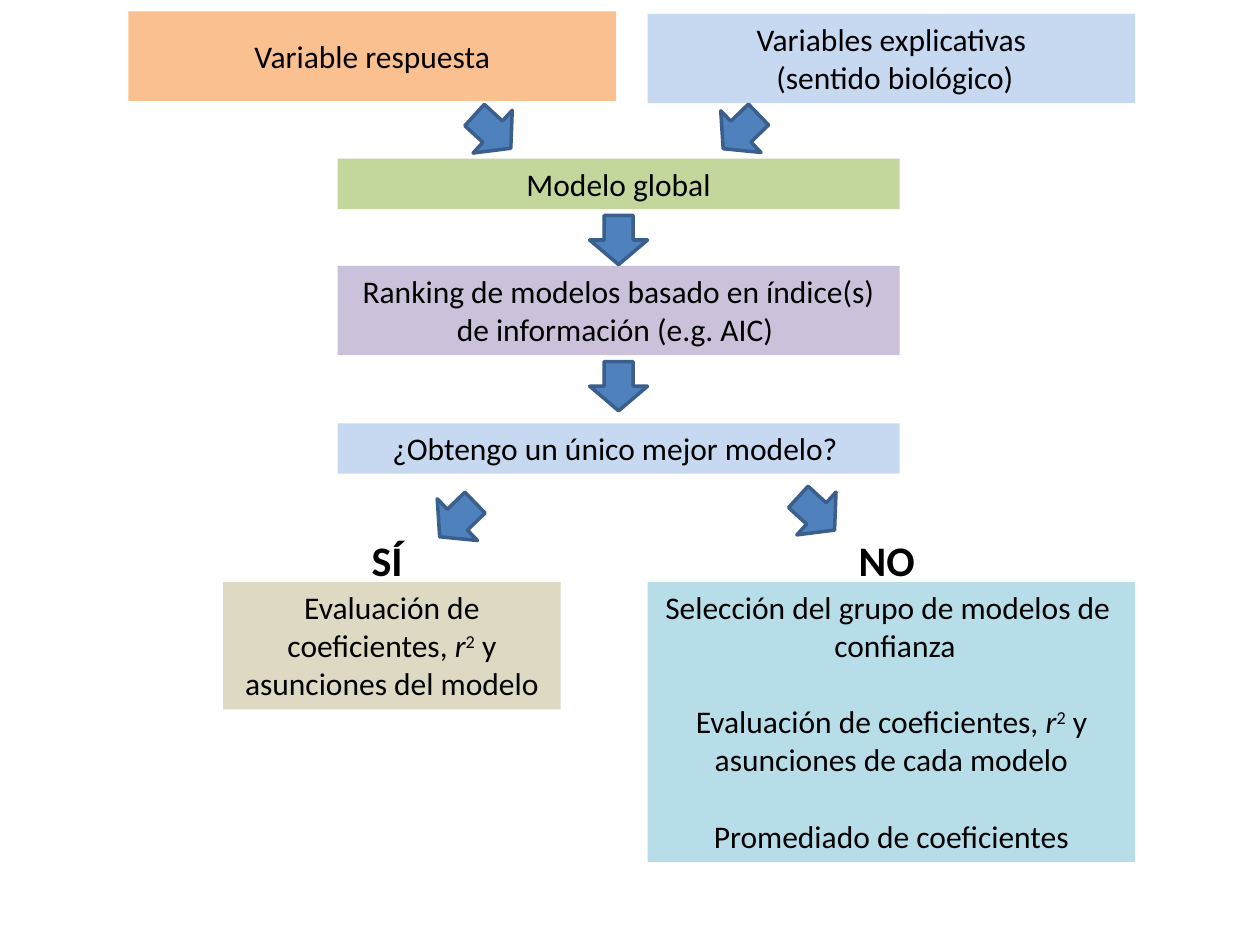
from dataclasses import dataclass

from pptx import Presentation
from pptx.dml.color import RGBColor
from pptx.enum.shapes import MSO_SHAPE as Shape
from pptx.enum.text import MSO_ANCHOR as Anchor, PP_ALIGN as Align
from pptx.util import Inches, Pt


@dataclass(frozen=True)
class Theme:
    """Colours and type sizes of the flowchart."""
    font: str = "Calibri"
    ink: str = "000000"
    body: int = 18
    answer: int = 24
    paragraph_gap: int = 22
    orange: str = "FAC090"
    blue: str = "C6D9F1"
    green: str = "C3D69B"
    purple: str = "CCC1DA"
    sand: str = "DDD9C3"
    aqua: str = "B7DEE8"
    arrow: str = "4F81BD"
    arrow_edge: str = "3A5F8C"


THEME = Theme()
ARROW_WIDTH, ARROW_HEIGHT = 0.46, 0.39
TO_LEFT, TO_RIGHT = 46, 312.5
STYLES = {"plain": {}, "bold": {"bold": True}, "italic": {"italic": True}, "super": {}}
R_SQUARED = [("r", "italic"), ("2", "super")]


def write(frame, paragraphs, size=THEME.body, anchor=Anchor.TOP):
    """Fill a text frame with (runs, space before) paragraphs."""
    frame.word_wrap = True
    frame.vertical_anchor = anchor
    for index, (runs, gap) in enumerate(paragraphs):
        line = frame.add_paragraph() if index else frame.paragraphs[0]
        line.alignment = Align.CENTER
        line.space_before = Pt(gap)
        for words, style in runs:
            run = line.add_run()
            run.text = words
            formats = {"name": THEME.font, "size": Pt(size), **STYLES[style]}
            for key, value in formats.items():
                setattr(run.font, key, value)
            run.font.color.rgb = RGBColor.from_string(THEME.ink)
            if style == "super":
                run.font._element.set("baseline", "30000")


def plain(*lines):
    """Turn strings into unspaced paragraphs."""
    return [([(words, "plain")], 0) for words in lines]


def add_step(slide, box, color, paragraphs, anchor=Anchor.TOP):
    """Draw a filled box with centred text."""
    step = slide.shapes.add_shape(Shape.RECTANGLE, *map(Inches, box))
    step.shadow.inherit = False
    step.fill.solid()
    step.fill.fore_color.rgb = RGBColor.from_string(color)
    step.line.fill.background()
    write(step.text_frame, paragraphs, anchor=anchor)


def add_arrow(slide, left, top, rotation=0):
    """Draw a block arrow, turned when it leads sideways."""
    arrow = slide.shapes.add_shape(
        Shape.DOWN_ARROW, *map(Inches, (left, top, ARROW_WIDTH, ARROW_HEIGHT)))
    arrow.shadow.inherit = False
    arrow.rotation = rotation
    arrow.fill.solid()
    arrow.fill.fore_color.rgb = RGBColor.from_string(THEME.arrow)
    arrow.line.color.rgb = RGBColor.from_string(THEME.arrow_edge)
    arrow.line.width = Pt(2)


def add_variables(slide, left, top, width, height):
    """Place the two kinds of variables and the arrows below them."""
    box_width, box_height = 3.87, 0.71
    right = left + width - box_width
    add_step(slide, (left, top, box_width, box_height), THEME.orange,
             plain("Variable respuesta"), Anchor.MIDDLE)
    add_step(slide, (right, top + 0.02, box_width, box_height), THEME.blue,
             plain("Variables explicativas", " (sentido biológico)"))
    arrow_top = top + height - ARROW_HEIGHT
    add_arrow(slide, left + 2.66, arrow_top, TO_RIGHT)
    add_arrow(slide, right + 0.51, arrow_top, TO_LEFT)


def add_models(slide, left, top, width):
    """Stack the model steps with an arrow between neighbours."""
    steps = [
        (0, 0.4, THEME.green, "Modelo global"),
        (0.85, 0.71, THEME.purple,
         "Ranking de modelos basado en índice(s) de información (e.g. AIC) "),
        (2.1, 0.4, THEME.blue, "¿Obtengo un único mejor modelo? "),
    ]
    for offset, height, color, words in steps:
        add_step(slide, (left, top + offset, width, height), color, plain(words))
    for offset, height, *_ in steps[:-1]:
        add_arrow(slide, left + (width - ARROW_WIDTH) / 2, top + offset + height + 0.05)


def add_answer(slide, box, answer, color, paragraphs, arrow):
    """Place an answer, its follow-up box and the arrow leading to it."""
    left, top, width, height = box
    label = slide.shapes.add_textbox(*map(Inches, (left, top, width, 0.5)))
    write(label.text_frame, [([(answer, "bold")], 0)], THEME.answer)
    add_step(slide, (left, top + 0.43, width, height - 0.43), color, paragraphs)
    offset, rise, rotation = arrow
    add_arrow(slide, left + offset, top - rise, rotation)


def build():
    """Build the model selection flowchart."""
    deck = Presentation()
    deck.slide_width, deck.slide_height = Inches(10), Inches(7.5)
    slide = deck.slides.add_slide(deck.slide_layouts[6])
    coefficients = [("Evaluación de coeficientes, ", "plain"), *R_SQUARED]
    add_variables(slide, 1.02, 0.09, 7.99, 1.15)
    add_models(slide, 2.68, 1.26, 4.46)
    add_answer(slide, (1.77, 4.19, 2.68, 1.44), "SÍ ", THEME.sand,
               [(coefficients + [(" y asunciones del modelo", "plain")], 0)],
               (1.63, 0.26, TO_LEFT))
    add_answer(slide, (5.14, 4.19, 3.87, 2.65), "NO ", THEME.aqua,
               plain("Selección del grupo de modelos de ", " confianza") + [
                   (coefficients + [(" y asunciones de cada modelo", "plain")],
                    THEME.paragraph_gap),
                   ([("Promediado de coeficientes", "plain")], THEME.paragraph_gap)],
               (1.11, 0.31, TO_RIGHT))
    deck.save("out.pptx")


build()
